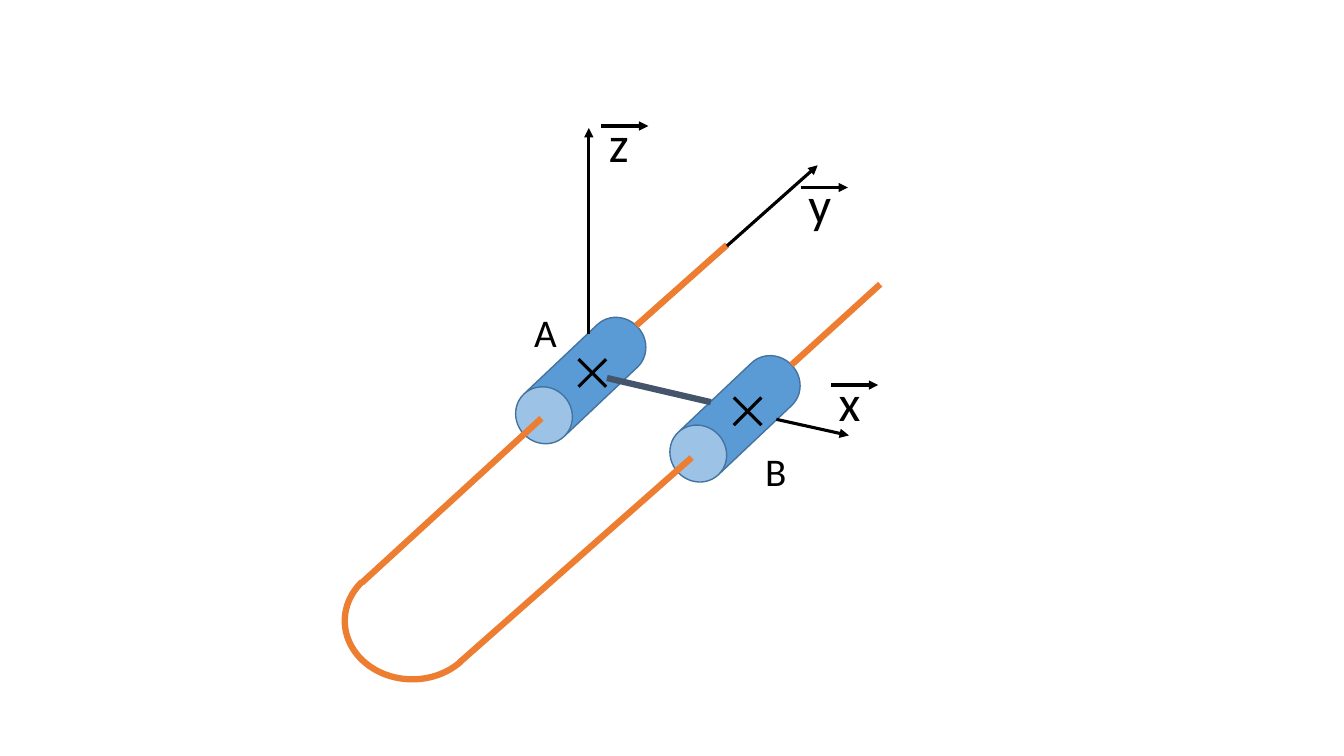
from lxml import etree
from pptx import Presentation
from pptx.dml.color import RGBColor
from pptx.enum.shapes import MSO_CONNECTOR, MSO_SHAPE
from pptx.enum.text import MSO_AUTO_SIZE
from pptx.oxml.ns import qn
from pptx.util import Inches, Pt

CAN, ARC = MSO_SHAPE.CAN, MSO_SHAPE.ARC
STRAIGHT = MSO_CONNECTOR.STRAIGHT
GROW = MSO_AUTO_SIZE.SHAPE_TO_FIT_TEXT
FONT = "Calibri"
BLACK, SLATE, ORANGE = "000000", "44546A", "ED7D31"
BLUE, BLUE_EDGE = "5B9BD5", "43739E"
THIN, THICK = 2.25, 4.5


def color(hex_code):
    """Turn a hex string into a colour."""
    return RGBColor.from_string(hex_code)


class Sketch:
    """Draws on one slide, measured in grid cells a tenth of an inch wide."""

    def __init__(self, slide, cell=Inches(0.1)):
        """Keep the slide and the size of a grid cell."""
        self.shapes = slide.shapes
        self.cell = cell

    def grid(self, *cells):
        """Turn columns and rows into slide lengths."""
        return [round(count * self.cell) for count in cells]

    def line(self, start, end, hex_code=BLACK, width=THIN, arrow=False):
        """Draw a straight line, with an arrowhead at its end if asked."""
        stroke = self.shapes.add_connector(STRAIGHT, *self.grid(*start, *end))
        stroke.line.color.rgb = color(hex_code)
        stroke.line.width = Pt(width)
        if arrow:
            etree.SubElement(stroke.line._ln, qn("a:tailEnd"), type="triangle")
        etree.SubElement(stroke._element.spPr, qn("a:effectLst"))

    def preset(self, kind, box, adjustments, edge, width, fill=None, rotation=0):
        """Draw an adjusted preset outline, filled if a colour is given."""
        outline = self.shapes.add_shape(kind, *self.grid(*box))
        for index, value in enumerate(adjustments):
            outline.adjustments[index] = value
        outline.rotation = rotation
        outline.shadow.inherit = False
        outline.line.color.rgb = color(edge)
        outline.line.width = Pt(width)
        if fill:
            outline.fill.solid()
            outline.fill.fore_color.rgb = color(fill)
        else:
            outline.fill.background()

    def bearing(self, left, top):
        """Draw a slanted cylinder."""
        self.preset(CAN, (left, top, 5.8, 15.5), [0.945], BLUE_EDGE, 1, BLUE, 226.6)

    def label(self, wording, left, top, width, height, size):
        """Write a short label."""
        frame = self.shapes.add_textbox(*self.grid(left, top, width, height)).text_frame
        frame.word_wrap = False
        frame.auto_size = GROW
        paragraph = frame.paragraphs[0]
        paragraph.text = wording
        paragraph.font.name = FONT
        paragraph.font.size = Pt(size)
        paragraph.font.color.rgb = color(BLACK)

    def vector(self, letter, left, top, width):
        """Write a letter with a vector arrow above it."""
        self.label(letter, left, top, width, 7.1, 36)
        self.line((left + 0.2, top + 1.9), (left + 4.9, top + 1.9), arrow=True)

    def cross(self, column, row, reach=1.37):
        """Mark a point with two crossing strokes."""
        for rise in (reach, -reach):
            self.line((column - reach, row - rise), (column + reach, row + rise))


def main():
    """Build the slide and save it."""
    deck = Presentation()
    deck.slide_width, deck.slide_height = Inches(13.33), Inches(7.5)
    sketch = Sketch(deck.slides.add_slide(deck.slide_layouts[6]))

    sketch.bearing(54.7, 30)
    sketch.preset(ARC, (34.2, 55.8, 13.4, 11.6), [23.77, 130.53], ORANGE, THICK)
    sketch.bearing(70, 33.8)

    rails = [
        ((35.9, 57.8), (53.7, 41.5)),
        ((45.6, 65.7), (68.6, 45.4)),
        ((63.1, 32.3), (72.1, 24.3)),
        ((78.5, 36.2), (87.3, 28.2)),
    ]
    for start, end in rails:
        sketch.line(start, end, ORANGE, THICK)
    sketch.line((60.2, 37.5), (70.5, 39.9), SLATE, THICK)

    axes = [
        ((72.1, 24.4), (81.1, 16.4)),
        ((58.4, 33.1), (58.4, 12.7)),
        ((77, 41.6), (84.2, 43.2)),
    ]
    for start, end in axes:
        sketch.line(start, end, arrow=True)

    for letter, left, top, width in [
        ("x", 82.2, 36.3, 4.2),
        ("y", 79.2, 16.7, 4.3),
        ("z", 59.4, 10.6, 4),
    ]:
        sketch.vector(letter, left, top, width)

    for point, left, top in [("A", 52, 30.1), ("B", 74.9, 43.9)]:
        sketch.label(point, left, top, 4.3, 5.7, 28)
    for column, row in [(58.75, 37), (74.15, 40.8)]:
        sketch.cross(column, row)

    deck.save("out.pptx")


if __name__ == "__main__":
    main()
